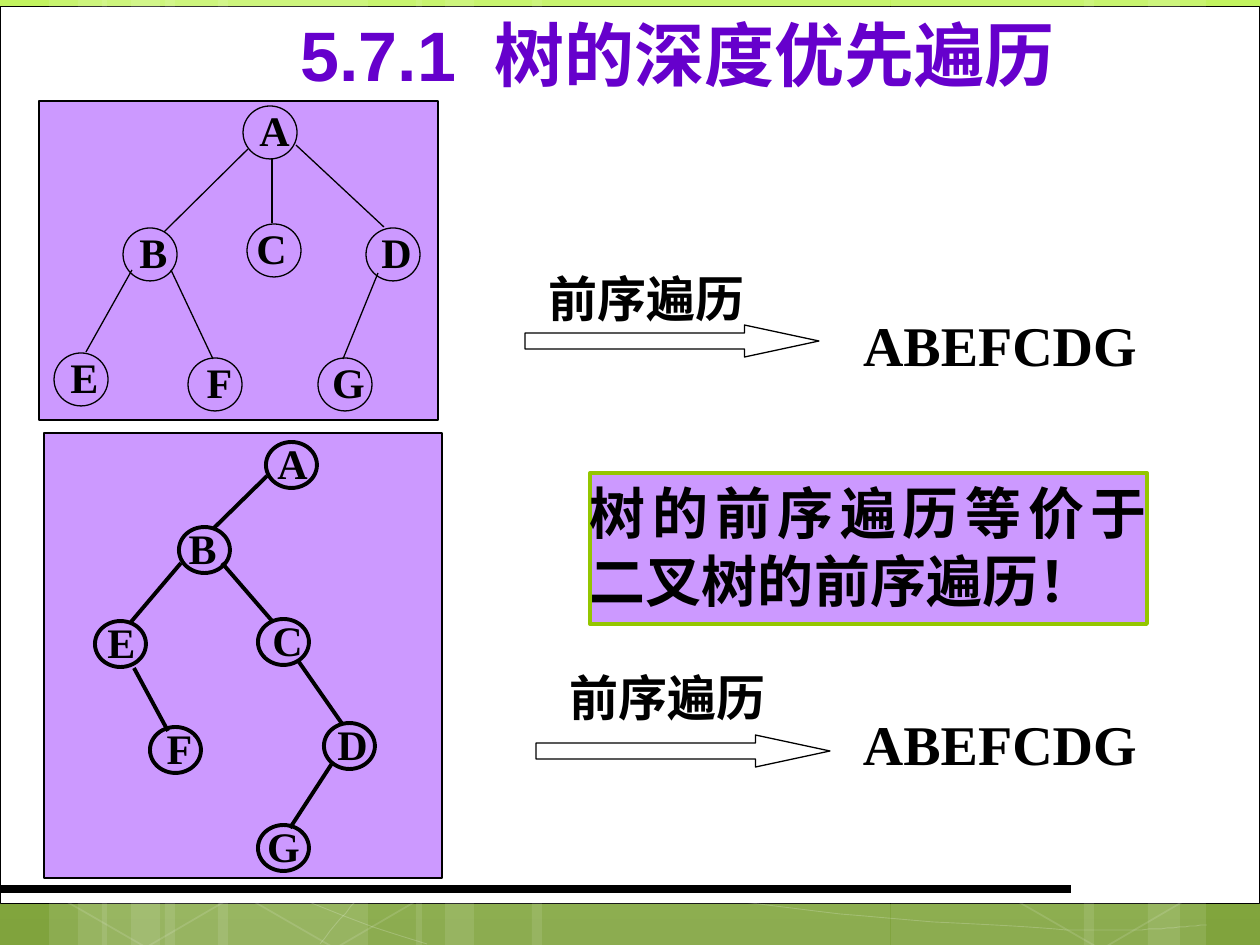
from copy import deepcopy
from dataclasses import dataclass
from lxml import etree
from pptx import Presentation
from pptx.dml.color import RGBColor
from pptx.enum.shapes import MSO_CONNECTOR, MSO_SHAPE
from pptx.enum.text import MSO_ANCHOR, MSO_AUTO_SIZE, PP_ALIGN
from pptx.oxml.ns import qn
from pptx.util import Inches, Pt

SCALE = Inches(1) / 126
RECT, OVAL = MSO_SHAPE.RECTANGLE, MSO_SHAPE.OVAL
ARROW, HEXAGON = MSO_SHAPE.RIGHT_ARROW, MSO_SHAPE.HEXAGON
STRAIGHT = MSO_CONNECTOR.STRAIGHT
TOP = MSO_ANCHOR.TOP
GROW = MSO_AUTO_SIZE.SHAPE_TO_FIT_TEXT
LEFT, CENTER, JUSTIFY = PP_ALIGN.LEFT, PP_ALIGN.CENTER, PP_ALIGN.JUSTIFY

BLACK = RGBColor(0x00, 0x00, 0x00)
WHITE = RGBColor(0xFF, 0xFF, 0xFF)
LILAC = RGBColor(0xCC, 0x99, 0xFF)
PURPLE = RGBColor(0x66, 0x00, 0xCC)
GREEN = RGBColor(0x94, 0xC6, 0x00)
GRADIENT = [(0, RGBColor(0xC2, 0xF3, 0x5F)), (0.62, RGBColor(0x92, 0xBE, 0x3F)),
            (1, RGBColor(0x80, 0xA3, 0x3D))]
SERIF = "Times New Roman"


@dataclass
class Node:
    label: str
    x: int
    y: int
    text_dx: int


@dataclass
class Tree:
    panel: tuple
    circle: tuple
    label: tuple
    label_dy: int
    insets: tuple
    weight: float
    nodes: list
    edges: list


@dataclass
class Traversal:
    arrow: tuple
    caption: tuple
    result: tuple


TREES = [
    Tree((39, 101, 399, 319), (54, 53), (45, 63), -10, (5, 9, 5, 1), 0.75,
         [Node("A", 243, 106, 9), Node("B", 123, 228, 8), Node("C", 247, 224, 2),
          Node("D", 366, 228, 8), Node("E", 54, 353, 8), Node("F", 188, 358, 9),
          Node("G", 318, 358, 8)],
         [(248, 149, 164, 232), (272, 159, 272, 223), (296, 145, 384, 227),
          (132, 270, 86, 352), (171, 270, 213, 359), (378, 273, 343, 359)]),
    Tree((44, 433, 398, 445), (51, 46), (43, 55), -9, (3, 4, 3, 1), 2.25,
         [Node("A", 266, 442, 5), Node("B", 179, 527, 2), Node("C", 258, 619, 8),
          Node("D", 324, 723, 7), Node("E", 95, 621, 5), Node("F", 150, 727, 8),
          Node("G", 258, 825, 4)],
         [(267, 476, 213, 529), (181, 563, 131, 622), (222, 563, 273, 622),
          (134, 668, 168, 731), (299, 662, 343, 725), (333, 762, 290, 828)]),
]
TRAVERSALS = [
    Traversal((525, 325, 294, 32), (536, 262, 242, 72), (850, 305, 336, 79)),
    Traversal((536, 735, 294, 32), (557, 661, 231, 72), (850, 703, 325, 79)),
]
BANDS = [(165, 203), (49, 58), (78, 97), (218, 204), (102, 58), (131, 97),
         (891, 203), (1148, 58), (1084, 96), (532, 358), (416, 58), (445, 97)]
HEXAGONS = [(52, 745), (241, 746), (1007, 747)]
CURVES = [
    [(45, 777), (185, 847), (325, 916), (427, 944)],
    [(47, 728), (83, 742), (120, 756), (188, 776), (255, 795), (355, 827), (452, 848),
     (549, 869), (672, 892), (767, 905), (863, 919), (966, 924), (1028, 927),
     (1089, 932), (1105, 930), (1135, 930), (1164, 929), (1184, 927), (1207, 925)],
    [(320, 944), (340, 919), (360, 893), (389, 871)],
]


def px(*values: int) -> list:
    return [round(v * SCALE) for v in values]


def style(sp, fill=None, line=None, weight: float = 0.75, alpha: int = 100) -> None:
    sp.shadow.inherit = False
    if fill is None:
        sp.fill.background()
    else:
        sp.fill.solid()
        sp.fill.fore_color.rgb = fill
    if line is None:
        sp.line.fill.background()
    else:
        sp.line.color.rgb = line
        sp.line.width = Pt(weight)
    if alpha < 100:
        for color in sp.element.iter(qn("a:srgbClr")):
            etree.SubElement(color, qn("a:alpha"), val=str(alpha * 1000))


def add_shape(s, kind, box: tuple, **look):
    sp = s.shapes.add_shape(kind, *px(*box))
    style(sp, **look)
    return sp


def add_line(s, ends: tuple, weight: float) -> None:
    line = s.shapes.add_connector(STRAIGHT, *px(*ends))
    line.line.color.rgb = BLACK
    line.line.width = Pt(weight)
    etree.SubElement(line.element.spPr, qn("a:effectLst"))


def write(sp, text: str, size: int, align=LEFT, font: str = SERIF, color=BLACK,
          before: int = 0, insets: tuple = (13, 6, 13, 6)) -> None:
    tf = sp.text_frame
    tf.word_wrap = True
    tf.vertical_anchor = TOP
    tf.margin_left, tf.margin_top, tf.margin_right, tf.margin_bottom = px(*insets)
    if before:
        tf.auto_size = GROW
    tf.text = text
    p = tf.paragraphs[0]
    p.alignment = align
    spacing = etree.SubElement(p._p.get_or_add_pPr(), qn("a:spcBef"))
    etree.SubElement(spacing, qn("a:spcPct"), val=str(before * 1000))
    r = p.runs[0]
    r.font.name, r.font.size, r.font.bold = font, Pt(size), True
    r.font.color.rgb = color


def add_text(s, box: tuple, text: str, size: int, **look) -> None:
    write(s.shapes.add_textbox(*px(*box)), text, size, **look)


def add_curve(s, points: list) -> None:
    steps = 12
    path = []
    for i in range(0, len(points) - 1, 3):
        a, b, c, d = points[i:i + 4]
        for k in range(1, steps + 1):
            t = k / steps
            u = 1 - t
            path.append(tuple(u**3 * a[j] + 3 * u * u * t * b[j] + 3 * u * t * t * c[j]
                              + t**3 * d[j] for j in (0, 1)))
    builder = s.shapes.build_freeform(*points[0], scale=SCALE)
    builder.add_line_segments(path, close=False)
    style(builder.convert_to_shape(), line=WHITE, weight=0.5, alpha=20)


def draw_backdrop(s) -> None:
    fill = s.background.fill
    fill.gradient()
    fill.gradient_angle = 270
    stops = s.element.find(".//" + qn("a:gsLst"))
    stops.append(deepcopy(stops[-1]))
    for stop, (position, color) in zip(fill.gradient_stops, GRADIENT):
        stop.position = position
        stop.color.rgb = color
    add_shape(s, RECT, (0, 7, 1260, 897), fill=WHITE, line=BLACK, weight=0.5)
    for x, width in BANDS:
        add_shape(s, RECT, (x, 0, width, 945), fill=WHITE, alpha=10)
    for points in CURVES:
        add_curve(s, points)
    for x, y in HEXAGONS:
        sp = add_shape(s, HEXAGON, (x, y, 203, 192), line=WHITE, weight=1, alpha=12)
        sp.adjustments[0] = 0.285
        sp.rotation = 30
    add_line(s, (0, 889, 1071, 889), 4.5)


def draw_tree(s, tree: Tree) -> None:
    add_shape(s, RECT, tree.panel, fill=LILAC, line=BLACK)
    for node in tree.nodes:
        add_text(s, (node.x + node.text_dx, node.y + tree.label_dy, *tree.label),
                 node.label, 24, align=CENTER, insets=tree.insets)
        add_shape(s, OVAL, (node.x, node.y, *tree.circle), line=BLACK, weight=tree.weight)
    for edge in tree.edges:
        add_line(s, edge, tree.weight)


def draw_traversal(s, traversal: Traversal) -> None:
    sp = add_shape(s, ARROW, traversal.arrow, line=BLACK)
    sp.adjustments[0], sp.adjustments[1] = 0.5, 2.33
    add_text(s, traversal.caption, "前序遍历", 28, before=50)
    add_text(s, traversal.result, "ABEFCDG", 32, before=50)


def draw_title(s) -> None:
    title = s.shapes.title
    title.element.getparent().append(title.element)
    title.left, title.top, title.width, title.height = px(192, 6, 971, 97)
    write(title, "5.7.1  树的深度优先遍历", 40, align=CENTER, font="Arial",
          color=PURPLE, before=10)


def main() -> None:
    prs = Presentation()
    prs.slide_width, prs.slide_height = px(1260, 945)
    s = prs.slides.add_slide(prs.slide_layouts[5])
    draw_backdrop(s)
    for tree in TREES:
        draw_tree(s, tree)
    for traversal in TRAVERSALS:
        draw_traversal(s, traversal)
    note = add_shape(s, RECT, (590, 473, 557, 151), fill=LILAC, line=GREEN, weight=2.25)
    write(note, "树的前序遍历等价于二叉树的前序遍历！", 32, align=JUSTIFY, before=50,
          insets=(0, 6, 0, 6))
    draw_title(s)
    prs.save("out.pptx")


if __name__ == "__main__":
    main()
